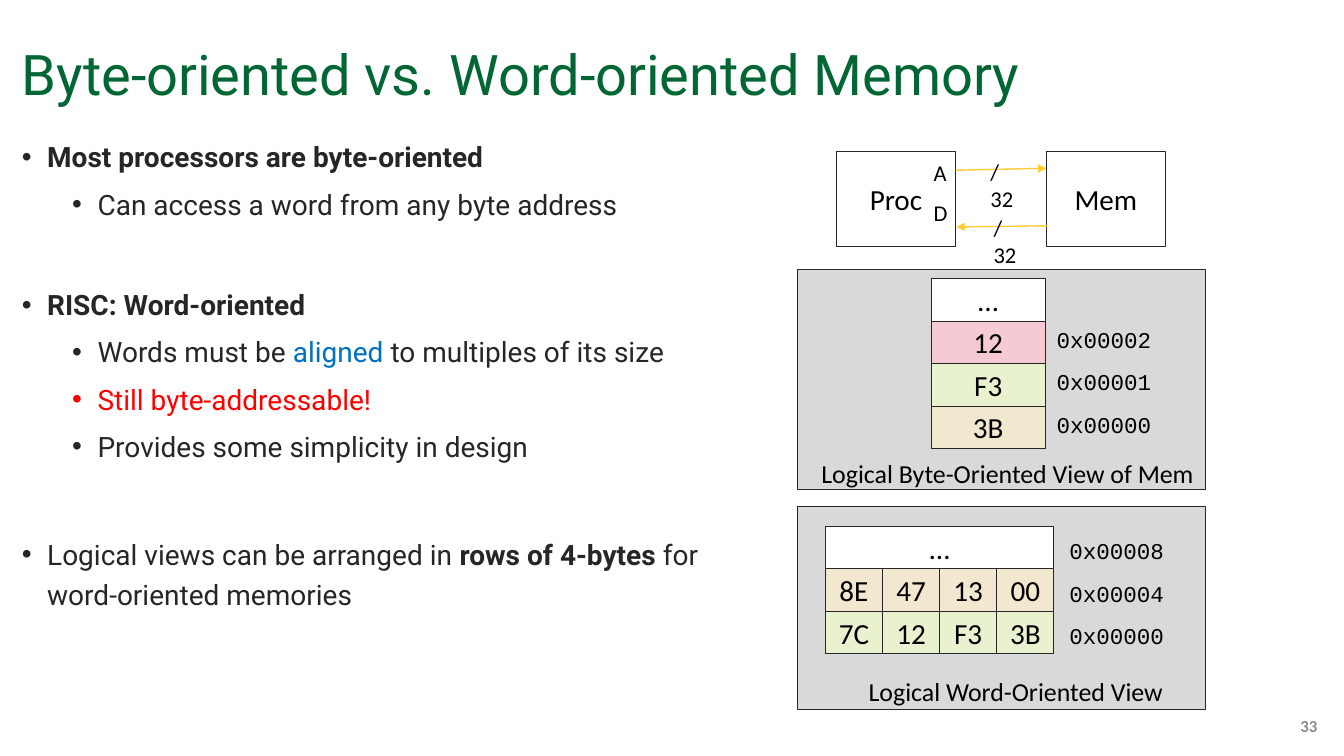
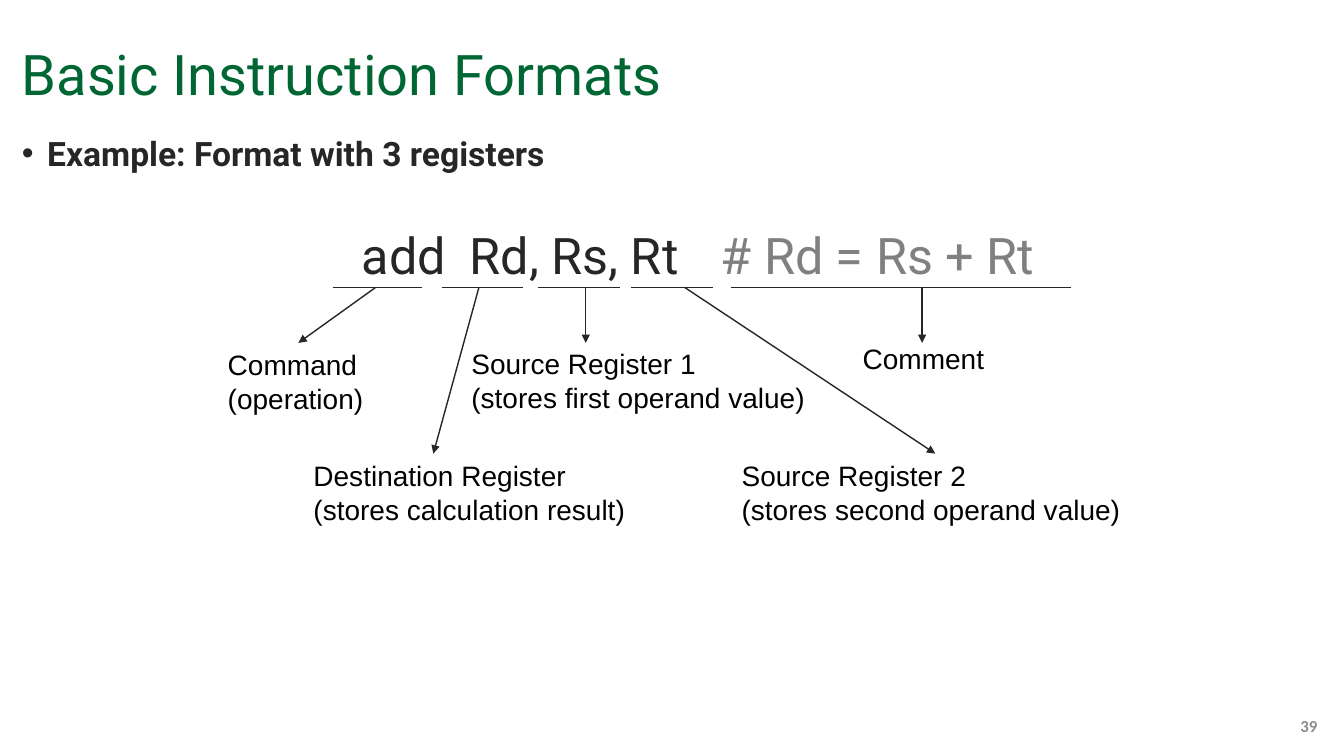
import pptx
import pptx.util
import pptx.dml.color
import pptx.enum.shapes
import pptx.enum.text
import pptx.oxml
import pptx.oxml.ns

Cm = pptx.util.Cm
Pt = pptx.util.Pt
RGBColor = pptx.dml.color.RGBColor
ALIGN = pptx.enum.text.PP_ALIGN
ANCHOR = pptx.enum.text.MSO_ANCHOR
RECT = pptx.enum.shapes.MSO_SHAPE.RECTANGLE
STRAIGHT = pptx.enum.shapes.MSO_CONNECTOR.STRAIGHT

GREEN = RGBColor(0x00, 0x66, 0x33)
INK = RGBColor(0x26, 0x26, 0x26)
BLACK = RGBColor(0x00, 0x00, 0x00)
WHITE = RGBColor(0xFF, 0xFF, 0xFF)
BLUE = RGBColor(0x00, 0x70, 0xC0)
RED = RGBColor(0xFF, 0x00, 0x00)
YELLOW = RGBColor(0xFF, 0xCC, 0x33)
PANEL_GREY = RGBColor(0xD9, 0xD9, 0xD9)
NUMBER_GREY = RGBColor(0x8C, 0x8C, 0x8C)
COMMENT_GREY = RGBColor(0x80, 0x80, 0x80)
PINK = RGBColor(0xF6, 0xCA, 0xD2)
LIME = RGBColor(0xE8, 0xF2, 0xCF)
SAND = RGBColor(0xF1, 0xE8, 0xCF)

HEADING_FONT = "Roboto"
DIAGRAM_FONT = "Calibri"
CODE_FONT = "Courier New"
LABEL_FONT = "Arial"

ROW_HEIGHT = 1.07
UNDERLINE_TOP = 7.24


def add_run(p, text, size, font, color, bold=False):
    r = p.add_run()
    r.text = text
    r.font.size = Pt(size)
    r.font.name = font
    r.font.color.rgb = color
    r.font.bold = bold


def add_frame(s, left, top, width, height, anchor=ANCHOR.TOP):
    """Add a wrapping text box and return its shape."""
    sp = s.shapes.add_textbox(Cm(left), Cm(top), Cm(width), Cm(height))
    sp.text_frame.word_wrap = True
    sp.text_frame.vertical_anchor = anchor
    return sp


def add_slide(prs, title, number):
    """Add a slide with the shared title and page number."""
    s = prs.slides.add_slide(prs.slide_layouts[6])
    p = add_frame(s, 0.3, 0.43, 33.15, 2.41, ANCHOR.BOTTOM).text_frame.paragraphs[0]
    p.line_spacing = 0.9
    add_run(p, title, 40, HEADING_FONT, GREEN)
    p = add_frame(s, 25.83, 17.78, 7.62, 1.02, ANCHOR.MIDDLE).text_frame.paragraphs[0]
    p.alignment = ALIGN.RIGHT
    add_run(p, number, 12, DIAGRAM_FONT, NUMBER_GREY, True)
    return s


def add_child(parent, tag, **attributes):
    child = pptx.oxml.parse_xml(f"<a:{tag} {pptx.oxml.ns.nsdecls('a')}/>")
    for name, value in attributes.items():
        child.set(name, str(value))
    parent.append(child)
    return child


def add_bullets(s, width, size, line_spacing, items):
    """Each item is (level, space before, runs); a run is (text, bold, color)."""
    tf = add_frame(s, 0.3, 3.23, width, 14.3).text_frame
    for i, (level, space, runs) in enumerate(items):
        p = tf.add_paragraph() if i else tf.paragraphs[0]
        p.level = level
        p.line_spacing = line_spacing
        p.space_before = Pt(space)
        pPr = p._p.get_or_add_pPr()
        pPr.set("marL", str(Cm(0.64 + 1.27 * level)))
        pPr.set("indent", str(Cm(-0.64)))
        add_child(pPr, "buFont", typeface="Arial")
        add_child(pPr, "buChar", char="•")
        for text, bold, color in runs:
            add_run(p, text, size, HEADING_FONT, color, bold)


def add_box(s, left, top, width, height, fill, text=""):
    sp = s.shapes.add_shape(RECT, Cm(left), Cm(top), Cm(width), Cm(height))
    sp.shadow.inherit = False
    sp.fill.solid()
    sp.fill.fore_color.rgb = fill
    sp.line.color.rgb = INK
    sp.line.width = Pt(0.5)
    if text:
        tf = sp.text_frame
        tf.margin_left = tf.margin_right = tf.margin_top = tf.margin_bottom = 0
        tf.vertical_anchor = ANCHOR.MIDDLE
        p = tf.paragraphs[0]
        p.alignment = ALIGN.CENTER
        add_run(p, text, 20.8, DIAGRAM_FONT, BLACK)


def add_label(s, left, top, width, lines, size=16.1, font=DIAGRAM_FONT):
    sp = add_frame(s, left, top, width, 0.25 + len(lines) * size * 0.0423)
    tf = sp.text_frame
    tf.margin_right = 0
    for i, line in enumerate(lines):
        p = tf.add_paragraph() if i else tf.paragraphs[0]
        add_run(p, line, size, font, BLACK)
    return sp


def add_line(s, start, end, color=INK, arrow=False):
    c = s.shapes.add_connector(STRAIGHT, Cm(start[0]), Cm(start[1]), Cm(end[0]), Cm(end[1]))
    c.line.color.rgb = color
    c.line.width = Pt(1)
    if arrow:
        add_child(c.line._get_or_add_ln(), "tailEnd", type="triangle")
    add_child(c._element.spPr, "effectLst")
    return c


def add_memory(s, left, top, width, rows, address_left, address_drop):
    """Stack memory rows; each is (fill, bytes, address) and fills the width."""
    for i, (fill, values, address) in enumerate(rows):
        row_top = top + i * ROW_HEIGHT
        cell = width / len(values)
        for j, value in enumerate(values):
            add_box(s, left + j * cell, row_top, cell, ROW_HEIGHT, fill, value)
        if address:
            add_label(s, address_left, row_top + address_drop, 3.2, [address], font=CODE_FONT)


def build_memory_slide(prs):
    s = add_slide(prs, "Byte-oriented vs. Word-oriented Memory", "33")
    add_bullets(s, 19.13, 20, 1.2, [
        (0, 0, [("Most processors are byte-oriented", True, INK)]),
        (1, 5, [("Can access a word from any byte address", False, INK)]),
        (0, 43, [("RISC: Word-oriented", True, INK)]),
        (1, 5, [("Words must be ", False, INK), ("aligned", False, BLUE),
                (" to multiples of its size", False, INK)]),
        (1, 5, [("Still byte-addressable!", False, RED)]),
        (1, 5, [("Provides some simplicity in design", False, INK)]),
        (0, 48, [("Logical views can be arranged in ", False, INK),
                 ("rows of 4-bytes ", True, INK),
                 ("for word-oriented memories", False, INK)]),
    ])

    for left, name in ((21.08, "Proc"), (26.37, "Mem")):
        add_box(s, left, 3.81, 3, 2.39, WHITE, name)
    add_line(s, (24.08, 4.29), (26.37, 4.24), YELLOW, True)
    add_line(s, (26.39, 5.69), (24.1, 5.72), YELLOW, True)
    for left, top, lines in ((23.28, 3.89, ["A"]), (23.28, 4.9, ["D"]),
                             (24.71, 3.86, ["/", "32"]), (24.79, 5.26, ["/", "32"])):
        add_label(s, left, top, 1.2, lines)

    add_box(s, 20.09, 6.78, 10.29, 5.56, PANEL_GREY)
    add_memory(s, 23.47, 7.02, 2.87, [
        (WHITE, ["…"], None),
        (PINK, ["12"], "0x00002"),
        (LIME, ["F3"], "0x00001"),
        (SAND, ["3B"], "0x00000"),
    ], 26.38, 0)
    add_label(s, 20.45, 11.4, 10.2, ["Logical Byte-Oriented View of Mem"], 18.5)

    add_box(s, 20.09, 12.75, 10.29, 5.13, PANEL_GREY)
    add_memory(s, 20.8, 13.26, 5.76, [
        (WHITE, ["…"], "0x00008"),
        (SAND, ["8E", "47", "13", "00"], "0x00004"),
        (LIME, ["7C", "12", "F3", "3B"], "0x00000"),
    ], 26.7, 0.15)
    add_label(s, 21.64, 16.89, 8.2, ["Logical Word-Oriented View"], 18.5)


def add_instruction(s):
    """Set the instruction's parts on tab stops above their underlines."""
    tf = add_frame(s, 9.12, 5.65, 18.5, 1.55).text_frame
    tf.margin_left = tf.margin_right = tf.margin_top = tf.margin_bottom = 0
    p = tf.paragraphs[0]
    tabs = add_child(p._p.get_or_add_pPr(), "tabLst")
    for position in (2.72, 9.04):
        add_child(tabs, "tab", pos=Cm(position), algn="l")
    add_run(p, "add\tRd, Rs, Rt\t", 36, HEADING_FONT, INK)
    add_run(p, "# Rd = Rs + Rt", 36, HEADING_FONT, COMMENT_GREY)


def build_format_slide(prs):
    s = add_slide(prs, "Basic Instruction Formats", "39")
    add_bullets(s, 33.15, 24, 1.0,
                [(0, 0, [("Example: Format with 3 registers", True, INK)])])
    add_instruction(s)

    # underline span, arrow start x, arrow end, label box, joined to label, label lines
    parts = [
        ((8.38, 10.64), 9.47, (7.52, 8.64), (5.49, 8.64, 4.06), True,
         ["Command", "(operation)"]),
        ((11.13, 13.18), 12.07, (10.92, 11.43), (7.65, 11.43, 8.71), False,
         ["Destination Register", "(stores calculation result)"]),
        ((13.56, 15.62), 14.76, (14.76, 8.64), (11.63, 8.61, 9.27), False,
         ["Source Register 1", "(stores first operand value)"]),
        ((15.9, 17.96), 17.25, (23.57, 11.43), (18.44, 11.43, 10.26), True,
         ["Source Register 2", "(stores second operand value)"]),
        ((18.42, 27), 23.24, (23.24, 8.64), (21.49, 8.48, 3.7), False,
         ["Comment"]),
    ]
    for (left, right), start, end, box, joined, lines in parts:
        add_line(s, (left, UNDERLINE_TOP), (right, UNDERLINE_TOP))
        label = add_label(s, *box, lines, 20, LABEL_FONT)
        arrow = add_line(s, (start, UNDERLINE_TOP), end, arrow=True)
        if joined:
            arrow.end_connect(label, 0)


def main():
    prs = pptx.Presentation()
    prs.slide_width = Cm(33.87)
    prs.slide_height = Cm(19.05)
    build_memory_slide(prs)
    build_format_slide(prs)
    prs.save("out.pptx")


if __name__ == "__main__":
    main()
